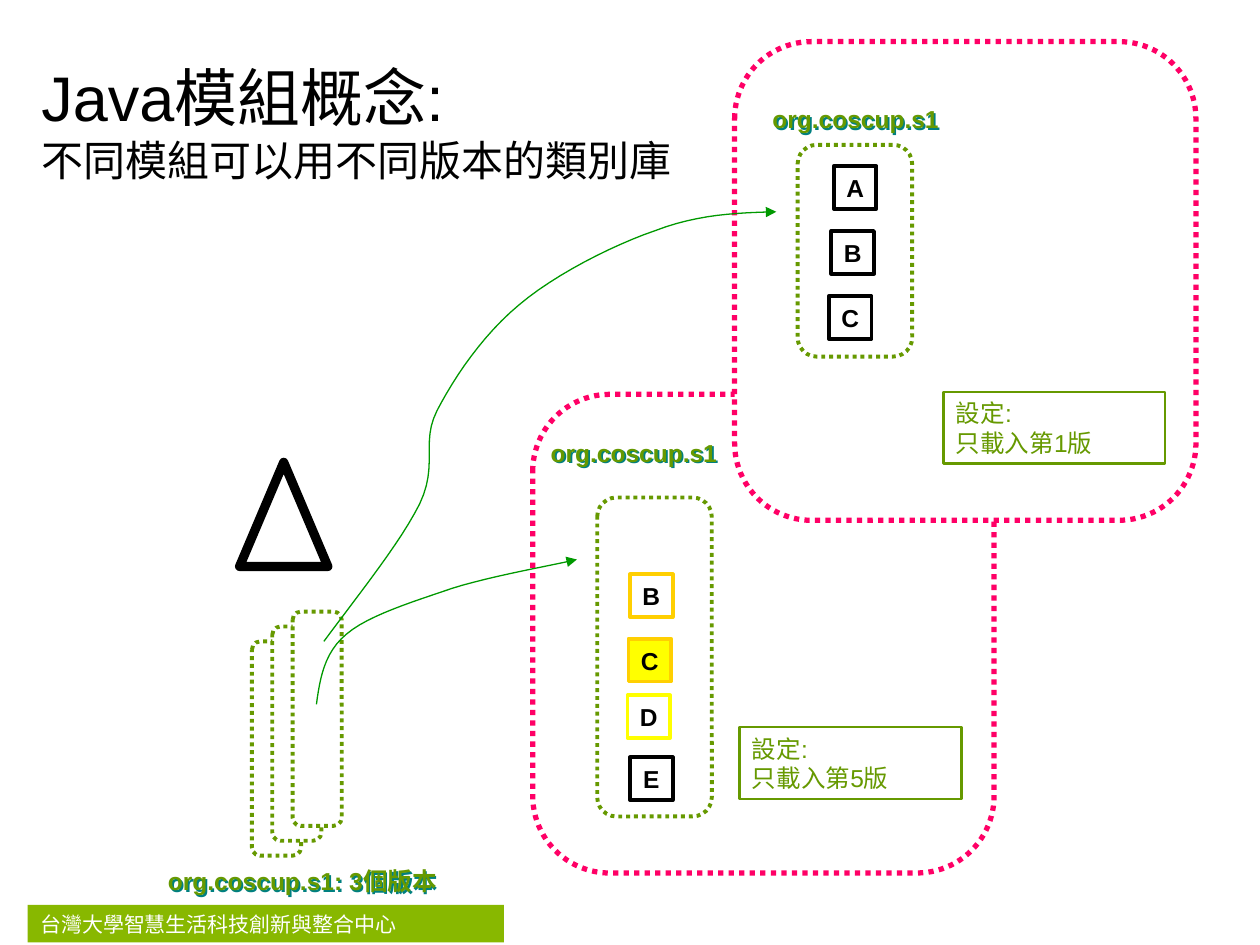
from copy import deepcopy

from lxml.etree import SubElement
from pptx import Presentation
from pptx.dml.color import RGBColor
from pptx.enum.dml import MSO_LINE
from pptx.enum.shapes import MSO_SHAPE as SHAPE
from pptx.enum.text import MSO_ANCHOR as ANCHOR, MSO_AUTO_SIZE as FIT, PP_ALIGN as ALIGN
from pptx.oxml.ns import qn
from pptx.util import Cm, Pt

rgb = RGBColor.from_string
PINK, GREEN, BLACK, WHITE = "FF0066", "669900", "000000", "FFFFFF"
GOLD, YELLOW = "FFCF01", "FFFF00"


def write(shape, text, size=14, color=BLACK, bold=False, align=ALIGN.LEFT, wrap=True):
    frame = shape.text_frame
    frame.word_wrap = wrap
    frame.auto_size = FIT.NONE
    frame.vertical_anchor = ANCHOR.MIDDLE
    for number, line in enumerate(text.split("\n")):
        paragraph = frame.add_paragraph() if number else frame.paragraphs[0]
        paragraph.alignment = align
        run = paragraph.add_run()
        run.text = line
        run.font.name = "Arial"
        run.font.size = Pt(size)
        run.font.bold = bold
        run.font.color.rgb = rgb(color)


def paint(shape, fill=None, line=None, width=0.75, dotted=False):
    shape.shadow.inherit = False
    if fill:
        shape.fill.solid()
        shape.fill.fore_color.rgb = rgb(fill)
    else:
        shape.fill.background()
    if line:
        shape.line.color.rgb = rgb(line)
        shape.line.width = Pt(width)
        if dotted:
            shape.line.dash_style = MSO_LINE.ROUND_DOT
    else:
        shape.line.fill.background()


deck = Presentation()
deck.slide_width, deck.slide_height = Cm(25.4), Cm(19.05)
slide = deck.slides.add_slide(deck.slide_layouts[5])
shapes = slide.shapes

title = shapes.title
title.left, title.top, title.width, title.height = Cm(0.58), Cm(0.86), Cm(21.64), Cm(3.18)
write(title, "Java模組概念:", size=36)
heading = title.text_frame.paragraphs[0]
heading.add_line_break()
heading._p[-1].append(deepcopy(heading.runs[0]._r.rPr))
subtitle = heading.add_run()
subtitle.text = "不同模組可以用不同版本的類別庫"
subtitle.font.name = "Arial"
subtitle.font.size = Pt(24)
subtitle.font.color.rgb = rgb(BLACK)

footer = shapes.add_shape(SHAPE.RECTANGLE, Cm(0.56), Cm(18.24), Cm(9.6), Cm(0.76))
paint(footer, fill="88B800")
write(footer, "台灣大學智慧生活科技創新與整合中心", size=12, color=WHITE)

for x, y, fill in [(10.74, 7.95, None), (14.81, 0.84, WHITE)]:
    module = shapes.add_shape(SHAPE.ROUNDED_RECTANGLE, Cm(x), Cm(y), Cm(9.3), Cm(9.65))
    paint(module, fill=fill, line=PINK, width=3, dotted=True)

versions = [(5.08 + 0.41 * i, 12.93 - 0.3 * i, 0.99, 4.32, WHITE if i else None) for i in range(3)]
packages = [(12.04, 10.03, 2.31, 6.43, None), (16.08, 2.92, 2.31, 4.27, None)]
for x, y, width, height, fill in versions + packages:
    package = shapes.add_shape(SHAPE.ROUNDED_RECTANGLE, Cm(x), Cm(y), Cm(width), Cm(height))
    paint(package, fill=fill, line=GREEN, width=2.25, dotted=True)

for text, x, y, width in [
    ("org.coscup.s1", 10.85, 8.69, 3.86),
    ("org.coscup.s1", 15.32, 1.96, 3.86),
    ("org.coscup.s1: 3個版本", 3.07, 17.32, 6.05),
]:
    label = shapes.add_textbox(Cm(x), Cm(y), Cm(width), Cm(0.86))
    write(label, text, color=GREEN, bold=True, align=ALIGN.CENTER, wrap=False)
    label.shadow.inherit = False
    effects = label._element.spPr.find(qn("a:effectLst"))
    shadow = SubElement(effects, qn("a:outerShdw"), dist="17961", dir="2700000")
    SubElement(shadow, qn("a:srgbClr"), val="008080")

first_version = [(name, 16.81 - 0.05 * i, 3.35 + 1.31 * i, None, BLACK) for i, name in enumerate("ABC")]
fifth_version = [
    ("B", 12.7, 11.58, None, GOLD),
    ("C", 12.67, 12.88, YELLOW, GOLD),
    ("D", 12.65, 14.02, None, YELLOW),
    ("E", 12.7, 15.27, None, BLACK),
]
for name, x, y, fill, border in first_version + fifth_version:
    class_box = shapes.add_shape(SHAPE.RECTANGLE, Cm(x), Cm(y), Cm(0.86), Cm(0.86))
    paint(class_box, fill=fill, line=border, width=2.25)
    write(class_box, name, bold=True, align=ALIGN.CENTER, wrap=False)

for version, x, y in [(5, 14.91, 14.66), (1, 19.02, 7.9)]:
    setting = shapes.add_shape(SHAPE.RECTANGLE, Cm(x), Cm(y), Cm(4.47), Cm(1.45))
    paint(setting, line=GREEN, width=1.5)
    write(setting, f"設定:\n只載入第{version}版", color=GREEN)

mascot = shapes.add_shape(SHAPE.ISOSCELES_TRIANGLE, Cm(4.83), Cm(9.32), Cm(1.78), Cm(2.1))
paint(mascot, fill=WHITE, line=BLACK, width=5.25)

to_fifth = [
    (6.38, 14.2), (6.45, 13.69), (6.53, 13.16), (6.99, 12.78), (7.44, 12.4),
    (8.36, 12.12), (9.12, 11.86), (9.91, 11.61), (11.23, 11.38), (11.63, 11.28),
]
to_first = [
    (6.53, 12.93), (7.29, 11.91), (8.08, 10.92), (8.46, 10.16), (8.84, 9.37), (8.48, 8.94),
    (8.81, 8.28), (9.17, 7.59), (9.73, 6.76), (10.46, 6.15), (11.18, 5.54), (12.34, 4.95),
    (13.21, 4.65), (14.07, 4.32), (14.86, 4.29), (15.65, 4.27),
]
STEPS = 12
for controls in (to_fifth, to_first):
    points = []
    for start in range(0, len(controls) - 1, 3):
        for step in range(1, STEPS + 1):
            t = step / STEPS
            weights = ((1 - t) ** 3, 3 * t * (1 - t) ** 2, 3 * t**2 * (1 - t), t**3)
            bend = list(zip(weights, controls[start:start + 4]))
            points.append(tuple(Cm(sum(w * p[axis] for w, p in bend)) for axis in (0, 1)))
    builder = shapes.build_freeform(Cm(controls[0][0]), Cm(controls[0][1]))
    builder.add_line_segments(points, close=False)
    arrow = builder.convert_to_shape()
    paint(arrow, line="009900")
    SubElement(arrow.line._get_or_add_ln(), qn("a:tailEnd"), type="triangle")

deck.save("out.pptx")
